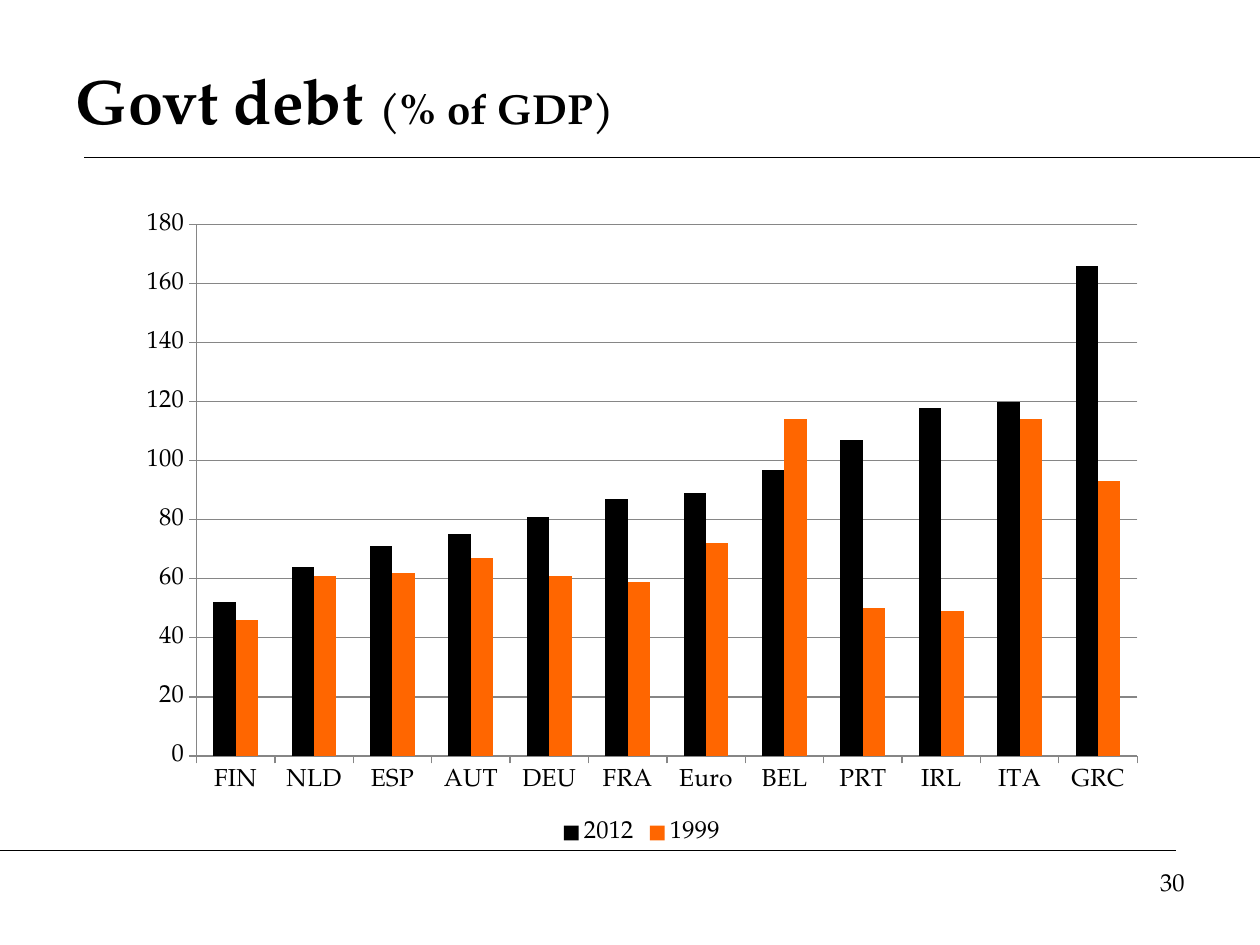
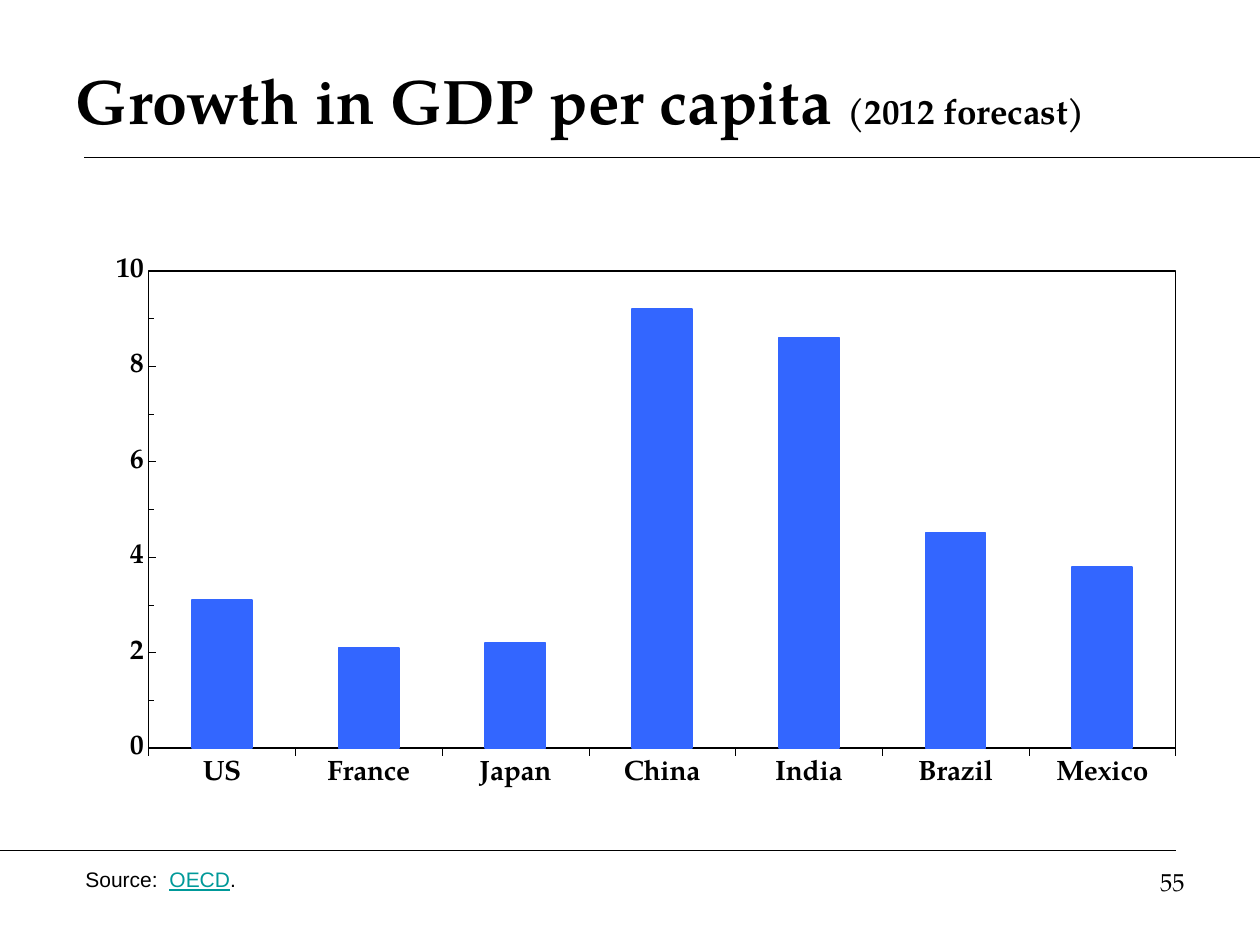
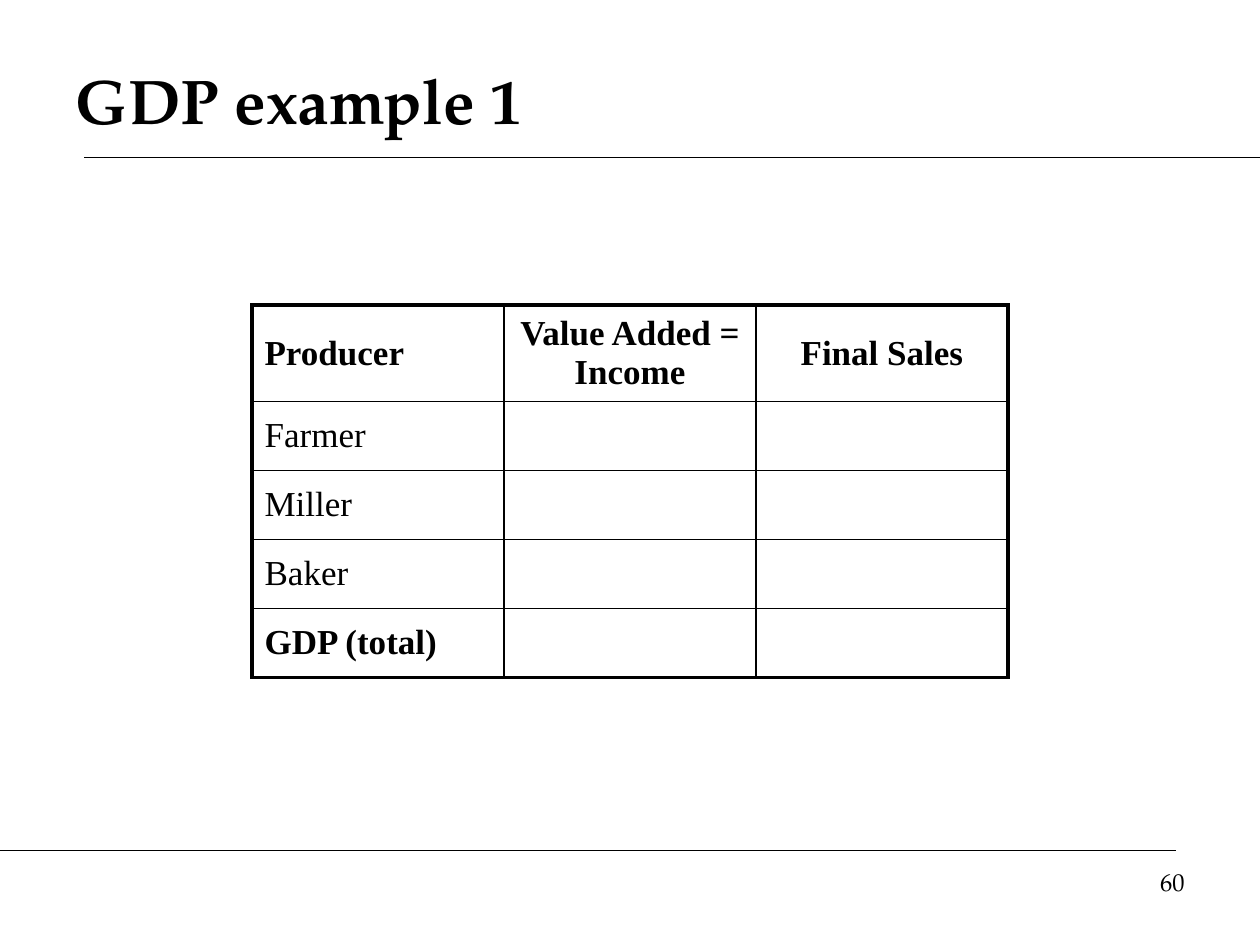
from lxml.etree import SubElement
from pptx import Presentation
from pptx.chart.data import CategoryChartData
from pptx.dml.color import RGBColor
from pptx.enum.chart import XL_CHART_TYPE, XL_LEGEND_POSITION, XL_TICK_MARK
from pptx.enum.shapes import MSO_CONNECTOR
from pptx.enum.text import MSO_ANCHOR, PP_ALIGN
from pptx.oxml import parse_xml
from pptx.oxml.ns import nsdecls, qn
from pptx.util import Inches, Pt

COLORS = {"black": "000000", "orange": "FF6600", "blue": "3366FF",
          "teal": "009999", "gray": "868686"}
SERIF, SANS, TABLE_FONT = "TeX Gyre Pagella", "Arial", "Times New Roman"

TITLE_BOX = (0.5, 0.33, 9, 0.92)
NUMBER_BOX = (7.17, 6.83, 2.33, 0.52)
SOURCE_BOX = (0.58, 6.83, 4.83, 0.3)
RULES = [(0.67, 1.25, 10, 1.25), (0, 6.75, 9.33, 6.75)]

DEBT_COUNTRIES = ["FIN", "NLD", "ESP", "AUT", "DEU", "FRA",
                  "Euro", "BEL", "PRT", "IRL", "ITA", "GRC"]
DEBT = {"2012": [52, 64, 71, 75, 81, 87, 89, 97, 107, 118, 120, 166],
        "1999": [46, 61, 62, 67, 61, 59, 72, 114, 50, 49, 114, 93]}
GROWTH_COUNTRIES = ["US", "France", "Japan", "China", "India", "Brazil", "Mexico"]
GROWTH = {"Series 1": [3.1, 2.1, 2.2, 9.2, 8.6, 4.5, 3.8]}
GDP_ROWS = [["Producer", "Value Added = Income", "Final Sales"],
            ["Farmer", "", ""], ["Miller", "", ""], ["Baker", "", ""],
            ["GDP (total)", "", ""]]


def rgb(name):
    return RGBColor.from_string(COLORS[name])


def set_font(font, size, name=SERIF, color="black", **extra):
    for key, value in {"size": Pt(size), "name": name, **extra}.items():
        setattr(font, key, value)
    font.color.rgb = rgb(color)


def set_line(line, color, width):
    line.color.rgb = rgb(color)
    line.width = Pt(width)


def add_runs(p, runs):
    """Add (text, font format) pairs to a paragraph."""
    for text, fmt in runs:
        r = p.add_run()
        r.text = text
        set_font(r.font, **fmt)


def add_text(slide, box, runs, align=PP_ALIGN.LEFT):
    tf = slide.shapes.add_textbox(*map(Inches, box)).text_frame
    tf.word_wrap = True
    p = tf.paragraphs[0]
    p.alignment = align
    add_runs(p, runs)


def add_rule(slide, ends):
    line = slide.shapes.add_connector(MSO_CONNECTOR.STRAIGHT, *map(Inches, ends))
    set_line(line.line, "black", 0.75)
    SubElement(line._element.spPr, qn("a:effectLst"))


def add_base_slide(prs, number, title, note="", note_size=24):
    """Add a slide with rules, title, smaller title note and page number."""
    slide = prs.slides.add_slide(prs.slide_layouts[5])
    for ends in RULES:
        add_rule(slide, ends)
    sp = slide.shapes.title
    sp.left, sp.top, sp.width, sp.height = map(Inches, TITLE_BOX)
    tf = sp.text_frame
    tf.vertical_anchor = MSO_ANCHOR.MIDDLE
    p = tf.paragraphs[0]
    p.alignment = PP_ALIGN.LEFT
    runs = [(title, {"size": 36, "bold": True})]
    if note:
        runs.append((note, {"size": note_size, "bold": True}))
    add_runs(p, runs)
    add_text(slide, NUMBER_BOX, [(str(number), {"size": 14})], PP_ALIGN.RIGHT)
    return slide


def add_column_chart(slide, box, cats, series, colors, gap, axis_max, step,
                     size, bold, axis_line):
    data = CategoryChartData()
    data.categories = cats
    for name, values in series.items():
        data.add_series(name, values)
    chart = slide.shapes.add_chart(
        XL_CHART_TYPE.COLUMN_CLUSTERED, *map(Inches, box), data).chart
    chart.has_title = chart.has_legend = False
    set_font(chart.font, size, bold=bold)
    plot = chart.plots[0]
    plot.vary_by_categories = False
    plot.gap_width, plot.overlap = gap, 0
    for s, color in zip(plot.series, colors):
        s.format.fill.solid()
        s.format.fill.fore_color.rgb = rgb(color)
    for axis in (chart.category_axis, chart.value_axis):
        axis.major_tick_mark = XL_TICK_MARK.OUTSIDE
        axis.minor_tick_mark = XL_TICK_MARK.NONE
        axis.has_major_gridlines = False
        set_font(axis.tick_labels.font, size, bold=bold)
        set_line(axis.format.line, *axis_line)
    values = chart.value_axis
    values.minimum_scale, values.maximum_scale, values.major_unit = 0, axis_max, step
    values.tick_labels.number_format = "0"
    values.tick_labels.number_format_is_linked = False
    return chart


def frame_plot(chart, x, y, w, h):
    """Fix the inner plot area as fractions of the chart and outline it."""
    area = chart._chartSpace.chart.plotArea
    for layout in area.findall(qn("c:layout")):
        area.remove(layout)
    places = "".join(f'<c:{tag} val="{val}"/>' for tag, val in
                     zip("x y w h".split(), (x, y, w, h)))
    area.insert(0, parse_xml(
        f'<c:layout {nsdecls("c")}><c:manualLayout><c:layoutTarget val="inner"/>'
        f'<c:xMode val="edge"/><c:yMode val="edge"/>{places}'
        '</c:manualLayout></c:layout>'))
    area.append(parse_xml(
        f'<c:spPr {nsdecls("c", "a")}><a:noFill/><a:ln w="{Pt(1)}"><a:solidFill>'
        f'<a:srgbClr val="{COLORS["black"]}"/></a:solidFill></a:ln></c:spPr>'))


def set_borders(cell, widths):
    tcPr = cell._tc.get_or_add_tcPr()
    for side, width in widths.items():
        tcPr.append(parse_xml(
            f'<a:ln{side} {nsdecls("a")} w="{Pt(width)}"><a:solidFill>'
            f'<a:srgbClr val="{COLORS["black"]}"/></a:solidFill></a:ln{side}>'))


def add_gdp_table(slide, box, rows, header_height):
    n_rows, n_cols = len(rows), len(rows[0])
    left, top, width, height = map(Inches, box)
    table = slide.shapes.add_table(n_rows, n_cols, left, top, width, height).table
    table.first_row = table.horz_banding = False
    header = Inches(header_height)
    for i, row in enumerate(table.rows):
        row.height = header if i == 0 else (height - header) // (n_rows - 1)
    for i, texts in enumerate(rows):
        for j, text in enumerate(texts):
            cell = table.cell(i, j)
            outer = {"L": j == 0, "R": j == n_cols - 1,
                     "T": i == 0, "B": i == n_rows - 1}
            set_borders(cell, {side: 2.25 if edge else 1
                               for side, edge in outer.items()})
            cell.fill.background()
            cell.vertical_anchor = MSO_ANCHOR.MIDDLE
            p = cell.text_frame.paragraphs[0]
            p.alignment = PP_ALIGN.CENTER if j else PP_ALIGN.LEFT
            if text:
                add_runs(p, [(text, {"size": 20, "name": TABLE_FONT,
                                     "bold": i in (0, n_rows - 1)})])


def debt_slide(prs):
    slide = add_base_slide(prs, 30, "Govt debt ", "(% of GDP)")
    chart = add_column_chart(
        slide, (1, 1.58, 8.19, 5.17), DEBT_COUNTRIES, DEBT, ["black", "orange"],
        gap=150, axis_max=180, step=20, size=14, bold=False,
        axis_line=("gray", 0.75))
    chart.value_axis.has_major_gridlines = True
    set_line(chart.value_axis.major_gridlines.format.line, "gray", 0.75)
    chart.has_legend = True
    chart.legend.position = XL_LEGEND_POSITION.BOTTOM
    chart.legend.include_in_layout = False
    set_font(chart.legend.font, 14)


def growth_slide(prs):
    slide = add_base_slide(prs, 55, "Growth in GDP per capita ",
                           "(2012 forecast)", note_size=20)
    chart = add_column_chart(
        slide, (0.56, 1.81, 8.86, 4.83), GROWTH_COUNTRIES, GROWTH, ["blue"],
        gap=144, axis_max=10, step=2, size=16, bold=True,
        axis_line=("black", 0.25))
    set_line(chart.plots[0].series[0].format.line, "blue", 1)
    values = chart.value_axis
    values.major_tick_mark = values.minor_tick_mark = XL_TICK_MARK.INSIDE
    values.minor_unit = 1
    frame_plot(chart, 0.07, 0.07, 0.92, 0.785)
    small = {"size": 12, "name": SANS}
    add_text(slide, SOURCE_BOX, [
        ("Source:  ", small),
        ("OECD", {**small, "color": "teal", "underline": True}),
        (".", small)])


def gdp_example_slide(prs):
    slide = add_base_slide(prs, 60, "GDP example 1")
    add_gdp_table(slide, (2, 2.42, 6, 2.91), GDP_ROWS, header_height=0.72)


def main():
    prs = Presentation()
    prs.slide_width, prs.slide_height = Inches(10), Inches(7.5)
    for build in (debt_slide, growth_slide, gdp_example_slide):
        build(prs)
    prs.save("out.pptx")


if __name__ == "__main__":
    main()
